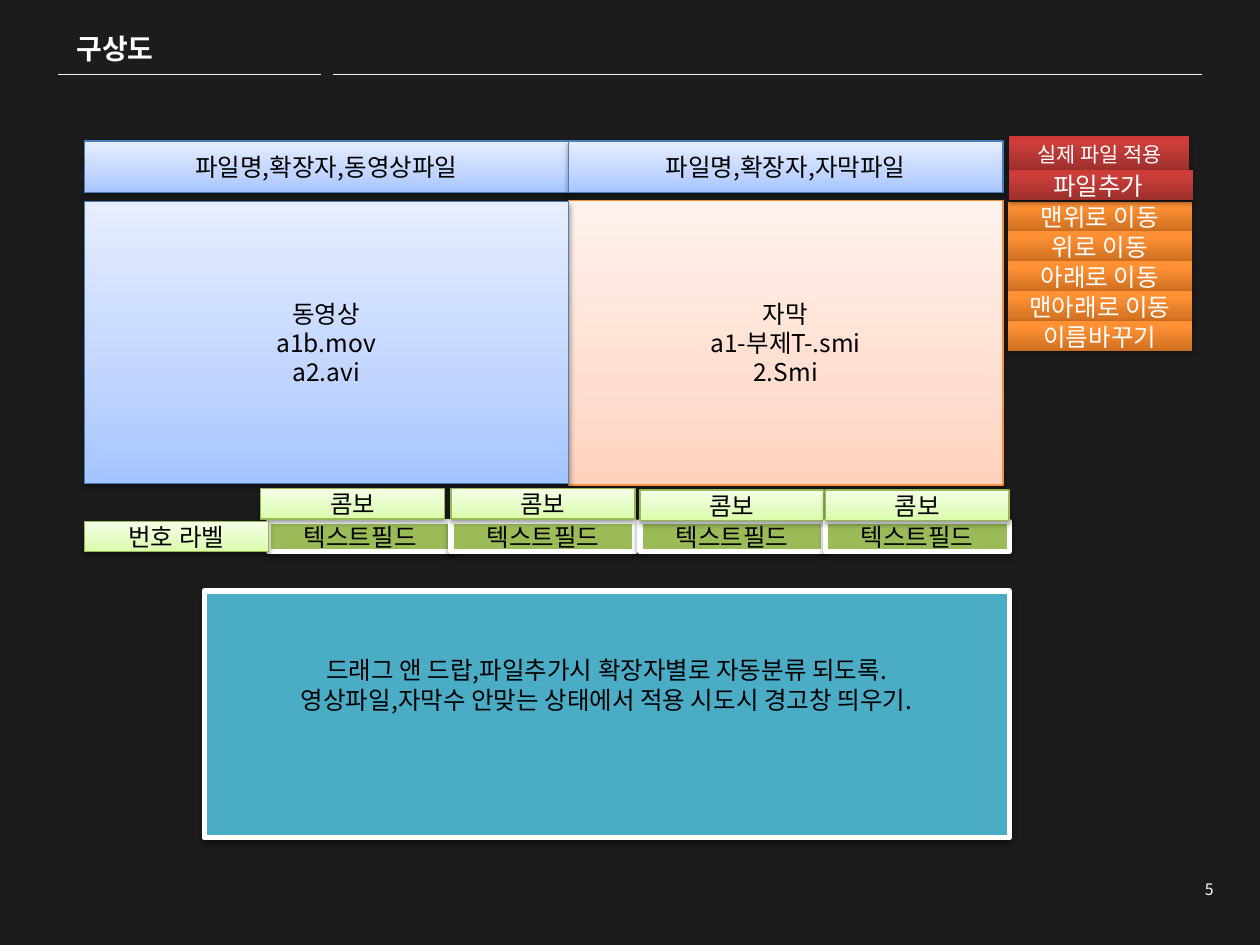
from lxml import etree
from pptx import Presentation
from pptx.dml.color import RGBColor
from pptx.enum import shapes, text
from pptx.oxml import ns
from pptx.util import Inches, Pt

FONT = "Noto Sans CJK KR"
BACK = RGBColor(0x1C, 0x1C, 0x1C)
WHITE = RGBColor(0xFF, 0xFF, 0xFF)
BLACK = RGBColor(0, 0, 0)
RULE = RGBColor(0xF2, 0xF2, 0xF2)
OLIVE = RGBColor(0x9B, 0xBB, 0x59)
TEAL = RGBColor(0x4B, 0xAC, 0xC6)
LEAF = RGBColor(0x98, 0xB9, 0x55)
NAVY = RGBColor(0x4B, 0x7E, 0xBC)
RUST = RGBColor(0xF6, 0x92, 0x40)


def ramp(mid, *codes):
    """Gradient stops, bottom to top, as (percent, colour) pairs."""
    return list(zip((0, mid, 100), map(RGBColor.from_string, codes)))


# style: fill, line colour, line width, text colour
STYLES = {
    "blue": (ramp(35, "A4C4FF", "BFD4FF", "E6EEFF"), NAVY, 0.75, BLACK),
    "peach": (ramp(35, "FFD2BD", "FFDED0", "FFF2ED"), RUST, 0.75, BLACK),
    "lime": (ramp(35, "DAFDA7", "E4FCC2", "F5FFE7"), LEAF, 0.75, BLACK),
    "orange": (ramp(80, "CC6E20", "FF9034", "FF9136"), None, 0, WHITE),
    "red": (ramp(80, "9C2F2D", "CB3E3A", "CE3B37"), None, 0, WHITE),
    "field": (OLIVE, WHITE, 3, BLACK),
    "note": (TEAL, WHITE, 3, BLACK),
}
RULES = [(0.46, 2.55), (2.64, 9.54)]
PANELS = [
    ("peach", (4.51, 1.59, 3.45, 2.26), ["자막", "a1-부제T-.smi", "2.Smi"]),
    ("blue", (0.67, 1.6, 3.84, 2.24), ["동영상", "a1b.mov", "a2.avi"]),
    ("blue", (0.67, 1.12, 3.84, 0.41), ["파일명,확장자,동영상파일"]),
    ("blue", (4.51, 1.12, 3.45, 0.41), ["파일명,확장자,자막파일"]),
]
MOVES = ["맨위로 이동", "위로 이동", "아래로 이동", "맨아래로 이동", "이름바꾸기"]
# left of the field, left and top of its combo
COLUMNS = [(2.13, 2.07, 3.88), (3.58, 3.58, 3.88),
           (5.08, 5.08, 3.89), (6.55, 6.55, 3.89)]
NOTE = ["드래그 앤 드랍,파일추가시 확장자별로 자동분류 되도록.",
        "영상파일,자막수 안맞는 상태에서 적용 시도시 경고창 띄우기."]
WIDE, HIGH, STEP = 1.46, 0.24, 0.2375
ROW = 4.14


def write(frame, lines, size, color, align, bold=False):
    for i, line in enumerate(lines):
        para = frame.paragraphs[0] if i == 0 else frame.add_paragraph()
        para.alignment = align
        run = para.add_run()
        run.text = line
        font = run.font
        font.name, font.size, font.bold = FONT, Pt(size), bold
        font.color.rgb = color
        etree.SubElement(font._element, ns.qn("a:ea"), typeface=FONT)


def tint(parent, color, alpha=None):
    node = etree.SubElement(parent, ns.qn("a:srgbClr"), val=str(color))
    if alpha:
        etree.SubElement(node, ns.qn("a:alpha"), val=str(alpha * 1000))


def shade(shape, stops):
    shape.fill.gradient()
    shape.fill.gradient_angle = 90
    group = shape._element.spPr.find(".//" + ns.qn("a:gsLst"))
    for old in list(group):
        group.remove(old)
    for pos, color in stops:
        tint(etree.SubElement(group, ns.qn("a:gs"), pos=str(pos * 1000)), color)


def drop(shape, alpha, dist):
    """Give the shape a soft shadow straight below."""
    shape.shadow.inherit = False
    effects = shape._element.spPr.find(ns.qn("a:effectLst"))
    outer = etree.SubElement(
        effects, ns.qn("a:outerShdw"), blurRad=str(Pt(3.1)),
        dist=str(Pt(dist)), dir="5400000", rotWithShape="0")
    tint(outer, BLACK, alpha)


def box(slide, style, at, lines, size=14):
    fill, edge, width, color = STYLES[style]
    shape = slide.shapes.add_shape(shapes.MSO_SHAPE.RECTANGLE, *map(Inches, at))
    if isinstance(fill, list):
        shade(shape, fill)
    else:
        shape.fill.solid()
        shape.fill.fore_color.rgb = fill
    if edge is None:
        shape.line.fill.background()
        drop(shape, 35, 1.8)
    else:
        shape.line.color.rgb = edge
        shape.line.width = Pt(width)
        drop(shape, 38, 1.6)
    frame = shape.text_frame
    frame.vertical_anchor = text.MSO_ANCHOR.MIDDLE
    write(frame, lines, size, color, text.PP_ALIGN.CENTER)
    return shape


def label(slide, at, words, size, align, bold=False, wrap=True):
    frame = slide.shapes.add_textbox(*map(Inches, at)).text_frame
    frame.word_wrap = wrap
    frame.vertical_anchor = text.MSO_ANCHOR.MIDDLE
    write(frame, [words], size, WHITE, align, bold)


def main():
    deck = Presentation()
    deck.slide_width, deck.slide_height = Inches(10), Inches(7.5)
    slide = deck.slides.add_slide(deck.slide_layouts[6])
    slide.background.fill.solid()
    slide.background.fill.fore_color.rgb = BACK

    for start, end in RULES:
        rule = slide.shapes.add_connector(
            shapes.MSO_CONNECTOR.STRAIGHT,
            *map(Inches, (start, 0.59, end, 0.59)))
        rule.line.color.rgb = RULE
        rule.line.width = Pt(0.25)
        etree.SubElement(rule._element.spPr, ns.qn("a:effectLst"))
    label(slide, (9.45, 6.93, 0.28, 0.25), "5", 9, text.PP_ALIGN.RIGHT,
          wrap=False)
    label(slide, (0.51, 0.21, 8.89, 0.35), "구상도", 16, text.PP_ALIGN.LEFT,
          bold=True)

    for style, at, lines in PANELS:
        box(slide, style, at, lines)
    for i, move in enumerate(MOVES):
        box(slide, "orange", (8, 1.6 + i * STEP, WIDE, HIGH), [move])
    box(slide, "red", (8.01, 1.08, 1.43, 0.28), ["실제 파일 적용"], 11.9)
    box(slide, "red", (8.01, 1.35, WIDE, HIGH), ["파일추가 "])

    for left, over, top in COLUMNS:
        box(slide, "field", (left, ROW, WIDE, HIGH), ["텍스트필드"])
        box(slide, "lime", (over, top, WIDE, HIGH), ["콤보"])
    box(slide, "lime", (0.67, ROW, WIDE, HIGH), ["번호 라벨"])

    note = box(slide, "note", (1.62, 4.69, 6.39, 1.96), NOTE)
    note.text_frame.margin_bottom = Inches(0.52)
    deck.save("out.pptx")


if __name__ == "__main__":
    main()
